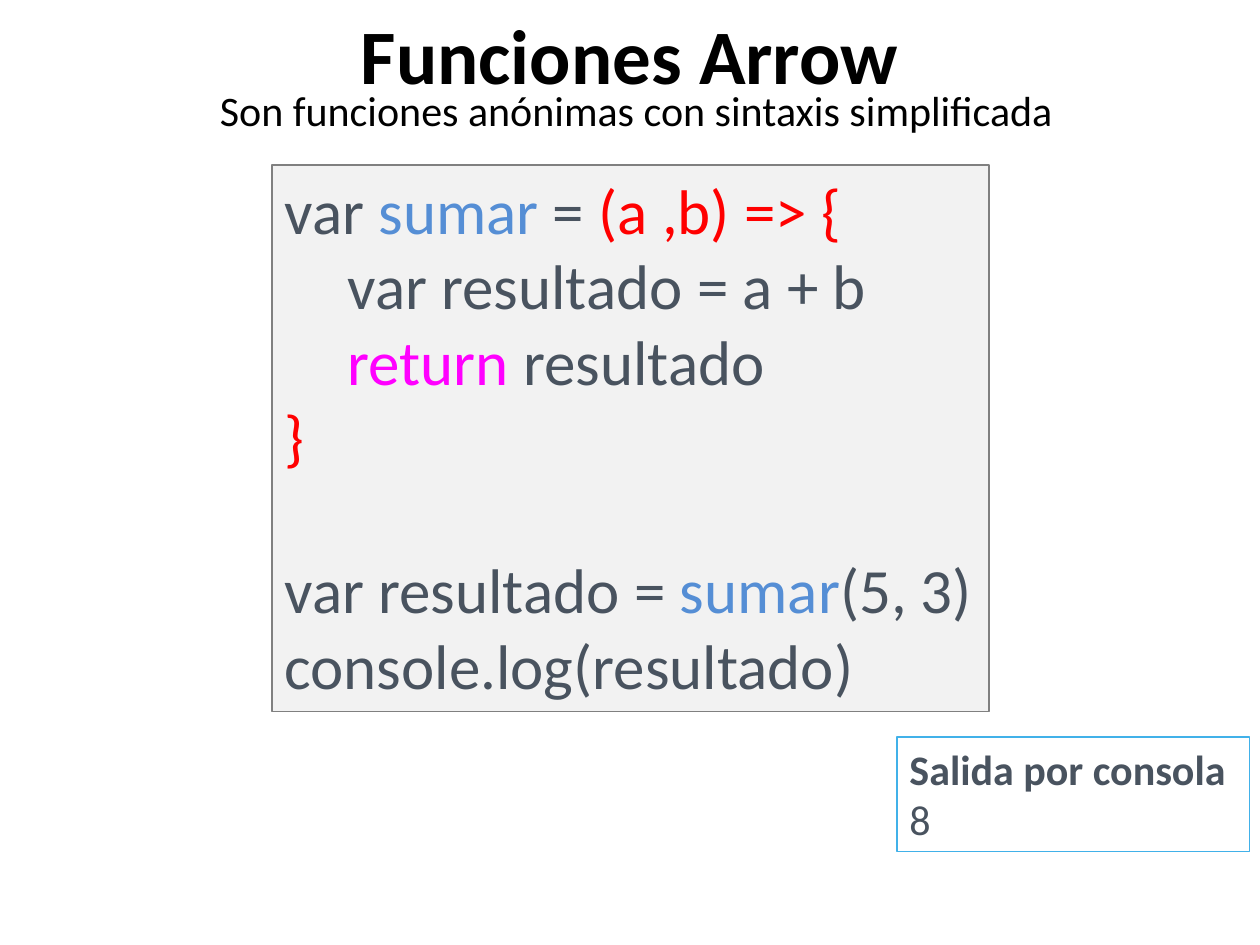
import pptx
import pptx.util
import pptx.dml.color
import pptx.enum.shapes
import pptx.enum.text
import pptx.oxml.ns
from lxml import etree

Inches, Pt = pptx.util.Inches, pptx.util.Pt
RGB = pptx.dml.color.RGBColor.from_string
ALIGN = pptx.enum.text.PP_ALIGN

THEME = {
    "font": "Calibri",
    "title_size": 44, "code_size": 36, "text_size": 24,
    "black": "000000", "code": "49535F", "name": "558ED5",
    "arrow": "FF0000", "keyword": "FF00FF",
    "code_fill": "F2F2F2", "code_line": "808080", "console_line": "41B1E9",
    "line_width": 0.75, "tab": 0.5,
}

# Content: each line is a list of (text, colour role, bold)
TITLE = [[("Funciones Arrow", "black", True)]]
SUBTITLE = [[("Son funciones anónimas con sintaxis simplificada", "black", False)]]
FUNCTION_CODE = [
    [("var ", "code", False), ("sumar", "name", False),
     (" = ", "code", False), ("(a ,b) => {", "arrow", False)],
    [("\tvar resultado = a + b", "code", False)],
    [("\t", "code", False), ("return", "keyword", False), (" resultado", "code", False)],
    [("}", "arrow", False)],
]
CALL_CODE = [
    [("var resultado = ", "code", False), ("sumar", "name", False), ("(5, 3)", "code", False)],
    [("console.log(resultado)", "code", False)],
]
CONSOLE = [[("Salida por consola", "code", True)], [("8", "code", False)]]

# Left, top, width, height in inches
TITLE_BOX = (0, 0.01, 10, 0.84)
SUBTITLE_BOX = (0, 0.62, 10.1, 0.5)
CODE_BOX = (2.16, 1.31, 5.69, 4.34)
CONSOLE_BOX = (7.12, 5.85, 2.8, 0.91)


def inches(box):
    return [Inches(length) for length in box]


def add_tab_stop(paragraph):
    tabs = etree.SubElement(paragraph._p.get_or_add_pPr(), pptx.oxml.ns.qn("a:tabLst"))
    etree.SubElement(tabs, pptx.oxml.ns.qn("a:tab"),
                     pos=str(int(Inches(THEME["tab"]))), algn="l")


def write(part, lines, size, align=ALIGN.LEFT):
    frame = part.text_frame
    frame.word_wrap = True
    frame.auto_size = pptx.enum.text.MSO_AUTO_SIZE.NONE
    frame.vertical_anchor = pptx.enum.text.MSO_ANCHOR.TOP
    for index, line in enumerate(lines):
        paragraph = frame.add_paragraph() if index else frame.paragraphs[0]
        paragraph.alignment = align
        if line[0][0].startswith("\t"):
            add_tab_stop(paragraph)
        for text, role, bold in line:
            run = paragraph.add_run()
            run.text = text
            run.font.name = THEME["font"]
            run.font.size = Pt(size)
            run.font.bold = bold
            run.font.color.rgb = RGB(THEME[role])


def add_panel(slide, box, line_role, fill_role=None):
    panel = slide.shapes.add_shape(pptx.enum.shapes.MSO_SHAPE.RECTANGLE, *inches(box))
    panel.shadow.inherit = False
    if fill_role:
        panel.fill.solid()
        panel.fill.fore_color.rgb = RGB(THEME[fill_role])
    else:
        panel.fill.background()
    panel.line.color.rgb = RGB(THEME[line_role])
    panel.line.width = Pt(THEME["line_width"])
    return panel


def main():
    deck = pptx.Presentation()
    deck.slide_width, deck.slide_height = Inches(10), Inches(7.5)
    slide = deck.slides.add_slide(deck.slide_layouts.get_by_name("Title Only"))

    # Title and subtitle
    title = slide.shapes.title
    title.left, title.top, title.width, title.height = inches(TITLE_BOX)
    write(title, TITLE, THEME["title_size"], ALIGN.CENTER)
    subtitle = slide.shapes.add_textbox(*inches(SUBTITLE_BOX))
    write(subtitle, SUBTITLE, THEME["text_size"], ALIGN.CENTER)

    # Code, with a gap of one line before the call
    code = add_panel(slide, CODE_BOX, "code_line", "code_fill")
    write(code, FUNCTION_CODE + CALL_CODE, THEME["code_size"])
    call = code.text_frame.paragraphs[len(FUNCTION_CODE)]
    call.space_before = Pt(round(THEME["code_size"] * 1.22))

    # Console output
    console = add_panel(slide, CONSOLE_BOX, "console_line")
    write(console, CONSOLE, THEME["text_size"])

    deck.save("out.pptx")


if __name__ == "__main__":
    main()
